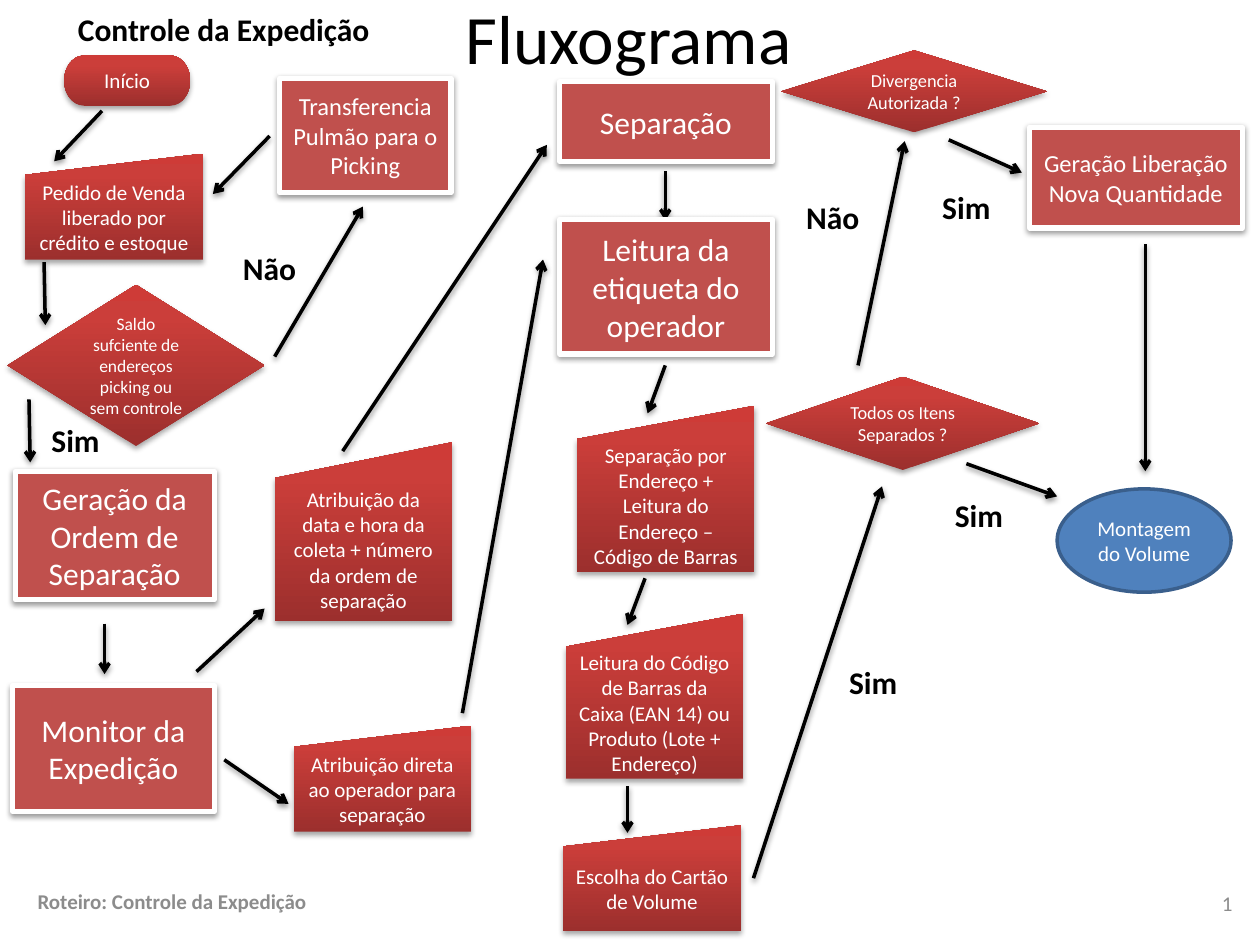
from copy import deepcopy

from lxml import etree
from pptx import Presentation
from pptx import util as u
from pptx.dml.color import RGBColor
from pptx.enum import shapes, text
from pptx.oxml import ns

KIND = shapes.MSO_SHAPE
ALIGN = text.PP_ALIGN
ANCHOR = text.MSO_ANCHOR
RED_STOPS = ((0, "9C2F2D"), (0.8, "CB3E3A"), (1, "CE3B37"))

ARROWS = [
    (0.81, 0.88, 0.43, 1.28), (0.35, 2.08, 0.36, 2.58),
    (2.18, 2.83, 2.88, 1.64), (2.14, 1.08, 1.69, 1.54),
    (0.23, 3.17, 0.24, 3.67), (0.83, 4.95, 0.83, 5.35),
    (1.56, 5.33, 2.1, 4.83), (1.78, 6.03, 2.29, 6.38),
    (3.67, 5.66, 4.31, 2.06), (2.72, 3.58, 4.34, 1.15),
    (5.28, 1.36, 5.28, 1.75), (5.28, 2.9, 5.14, 3.28),
    (5.12, 4.59, 4.98, 4.96), (4.98, 6.24, 4.98, 6.61),
    (5.98, 6.97, 7, 3.86), (6.81, 2.9, 7.18, 1.12),
    (7.53, 1.11, 8.11, 1.37), (9.09, 1.94, 9.09, 3.74),
    (7.67, 3.68, 8.39, 3.94),
]
PROCESSES = [
    ("Transferencia Pulmão para o Picking", 2.22, 0.62, 1.36, 0.91, 14),
    ("Geração da Ordem de Separação", 0.12, 3.74, 1.58, 1.02, 18),
    ("Monitor da Expedição", 0.1, 5.44, 1.6, 1, 18),
    ("Separação", 4.44, 0.65, 1.69, 0.63, 18),
    ("Leitura da etiqueta do operador", 4.44, 1.74, 1.69, 1.07, 18),
    ("Geração Liberação Nova Quantidade", 8.17, 1.01, 1.69, 0.8, 14),
]
MANUAL_INPUTS = [
    ("Pedido de Venda liberado por crédito e estoque", 0.2, 1.22, 0.84),
    ("Atribuição da data e hora da coleta + número da ordem de separação",
     2.18, 3.51, 1.42),
    ("Atribuição direta ao operador para separação", 2.33, 5.76, 0.84),
    ("Separação por Endereço + Leitura do Endereço – Código de Barras",
     4.58, 3.22, 1.32),
    ("Leitura do Código de Barras da Caixa (EAN 14) ou Produto (Lote + Endereço)",
     4.49, 4.87, 1.31),
    ("Escolha do Cartão de Volume", 4.47, 6.55, 0.84),
]
DECISIONS = [
    ("Saldo sufciente de endereços picking ou sem controle",
     0.06, 2.26, 2.04, 1.28, 10),
    ("Divergencia Autorizada ?", 6.2, 0.4, 2.11, 0.65, 10.5),
    ("Todos os Itens Separados ?", 6.08, 2.99, 2.17, 0.74, 10.5),
]
ANSWERS = [
    ("Não", 1.83, 1.93), ("Sim", 0.31, 3.29), ("Não", 6.3, 1.52),
    ("Sim", 7.38, 1.44), ("Sim", 7.48, 3.89), ("Sim", 6.64, 5.21),
]


def lengths(*inches):
    return [u.Cm(value * 2.54) for value in inches]


def rgb(value):
    return RGBColor.from_string(value)


def write(frame, words, size, color, align=ALIGN.CENTER, bold=False,
          anchor=ANCHOR.MIDDLE, wrap=True):
    frame.word_wrap = wrap
    frame.vertical_anchor = anchor
    paragraph = frame.paragraphs[0]
    paragraph.text = words
    paragraph.alignment = align
    font = paragraph.font
    font.name, font.size, font.bold = "Calibri", u.Pt(size), bold
    font.color.rgb = rgb(color)


def add_shadow(properties, distance, opacity):
    effects = properties.find(ns.qn("a:effectLst"))
    if effects is None:
        effects = etree.SubElement(properties, ns.qn("a:effectLst"))
    shadow = etree.SubElement(
        effects, ns.qn("a:outerShdw"), blurRad="40000", dist=str(distance),
        dir="5400000", rotWithShape="0")
    black = etree.SubElement(shadow, ns.qn("a:srgbClr"), val="000000")
    etree.SubElement(black, ns.qn("a:alpha"), val=str(opacity * 1000))


def add_step(slide, kind, words, box, size):
    step = slide.shapes.add_shape(kind, *lengths(*box))
    step.shadow.inherit = False
    write(step.text_frame, words, size, "FFFFFF")
    return step


def paint_flat(step, fill, line, width):
    step.fill.solid()
    step.fill.fore_color.rgb = rgb(fill)
    step.line.color.rgb = rgb(line)
    step.line.width = u.Pt(width)


def add_process(slide, words, left, top, width, height, size):
    step = add_step(slide, KIND.FLOWCHART_PROCESS, words,
                    (left, top, width, height), size)
    paint_flat(step, "C0504D", "FFFFFF", 3)
    add_shadow(step._element.spPr, 20000, 38)


def add_red_step(slide, kind, words, box, size):
    step = add_step(slide, kind, words, box, size)
    step.fill.gradient()
    step.fill.gradient_angle = 90
    stop_list = step._element.spPr.find(".//" + ns.qn("a:gsLst"))
    stop_list.insert(1, deepcopy(stop_list[0]))
    for stop, (position, color) in zip(step.fill.gradient_stops, RED_STOPS):
        stop.position = position
        stop.color.rgb = rgb(color)
    step.line.fill.background()
    add_shadow(step._element.spPr, 23000, 35)


def add_arrow(slide, *ends):
    arrow = slide.shapes.add_connector(shapes.MSO_CONNECTOR.STRAIGHT, *lengths(*ends))
    arrow.line.color.rgb = rgb("000000")
    arrow.line.width = u.Pt(2)
    etree.SubElement(arrow.line._get_or_add_ln(), ns.qn("a:tailEnd"), type="arrow")
    add_shadow(arrow._element.spPr, 20000, 38)


def add_label(slide, words, box, size, color="000000", **style):
    label = slide.shapes.add_textbox(*lengths(*box))
    write(label.text_frame, words, size, color, **style)


def main():
    deck = Presentation()
    deck.slide_width, deck.slide_height = lengths(10, 7.5)
    slide = deck.slides.add_slide(deck.slide_layouts[6])

    add_label(slide, "Fluxograma", (0.49, 0, 9, 0.59), 39.6)
    add_label(slide, "Controle da Expedição", (0.52, 0.03, 2.53, 0.4), 18,
              align=ALIGN.LEFT, bold=True, anchor=ANCHOR.TOP, wrap=False)
    add_label(slide, "Roteiro: Controle da Expedição", (0.2, 6.95, 8.9, 0.4), 12,
              "8C8C8C", align=ALIGN.LEFT, bold=True)
    add_label(slide, "1", (7.55, 6.97, 2.33, 0.4), 12, "8C8C8C", align=ALIGN.RIGHT)

    for ends in ARROWS:
        add_arrow(slide, *ends)
    add_red_step(slide, KIND.FLOWCHART_TERMINATOR, "Início", (0.51, 0.44, 1, 0.4), 12)
    for process in PROCESSES:
        add_process(slide, *process)
    for words, left, top, height in MANUAL_INPUTS:
        add_red_step(slide, KIND.FLOWCHART_MANUAL_INPUT, words,
                     (left, top, 1.41, height), 12)
    for words, *box, size in DECISIONS:
        add_red_step(slide, KIND.FLOWCHART_DECISION, words, box, size)
    volume = add_step(slide, KIND.OVAL, "Montagem do Volume",
                      (8.39, 3.88, 1.38, 0.82), 12)
    paint_flat(volume, "4F81BD", "3A5F8C", 2)
    for words, left, top in ANSWERS:
        add_label(slide, words, (left, top, 0.63, 0.4), 18,
                  align=ALIGN.LEFT, bold=True, anchor=ANCHOR.TOP)

    deck.save("out.pptx")


main()
